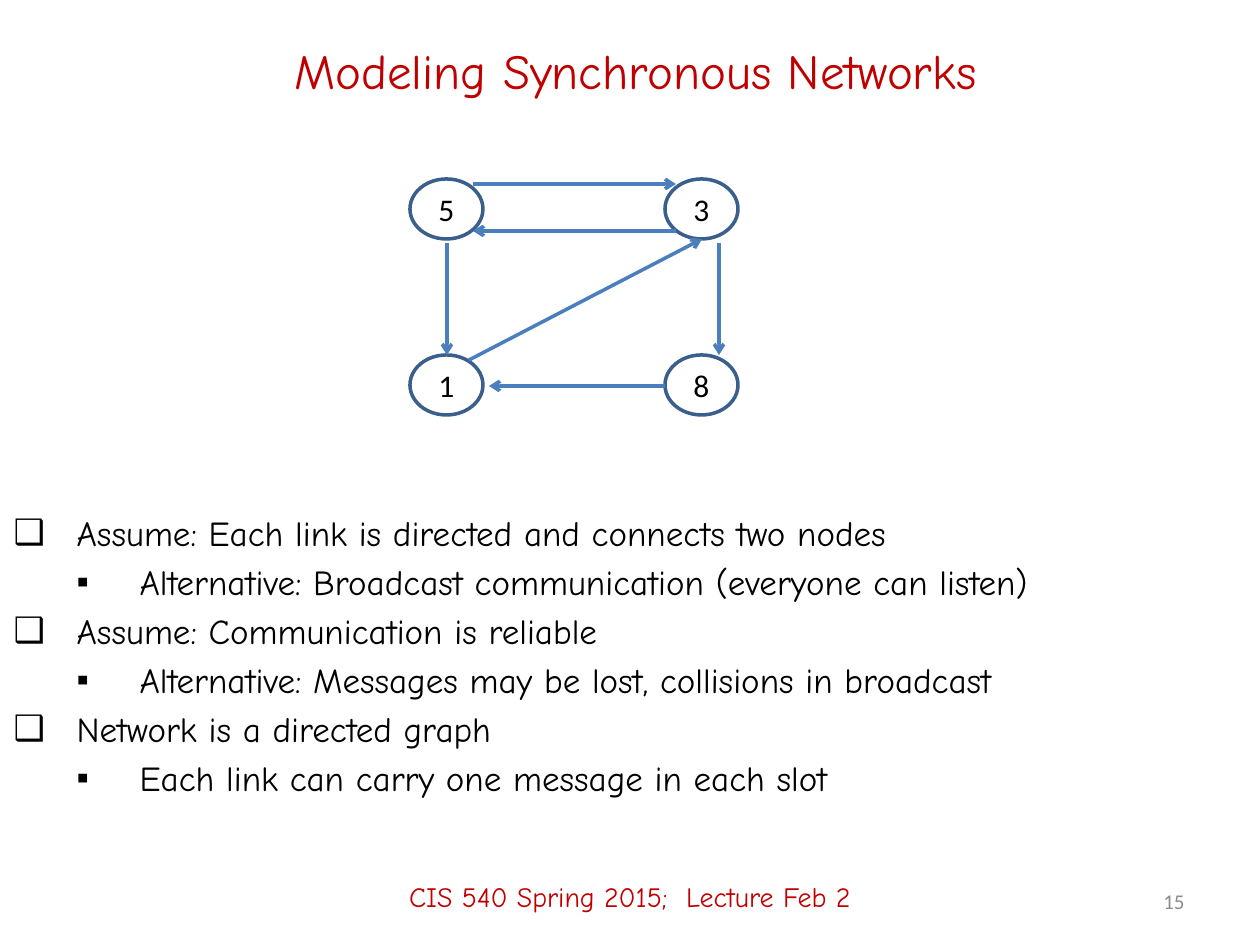
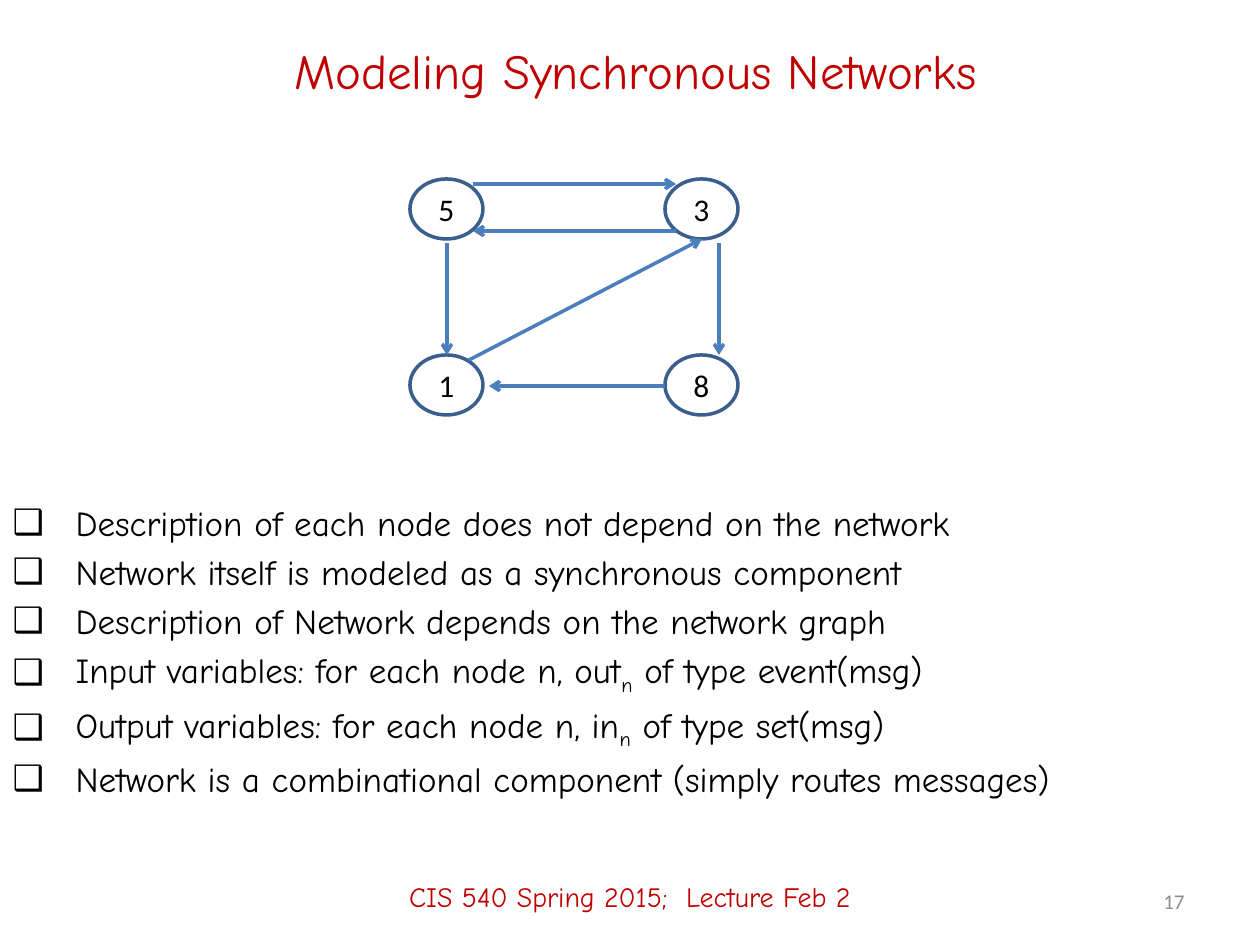
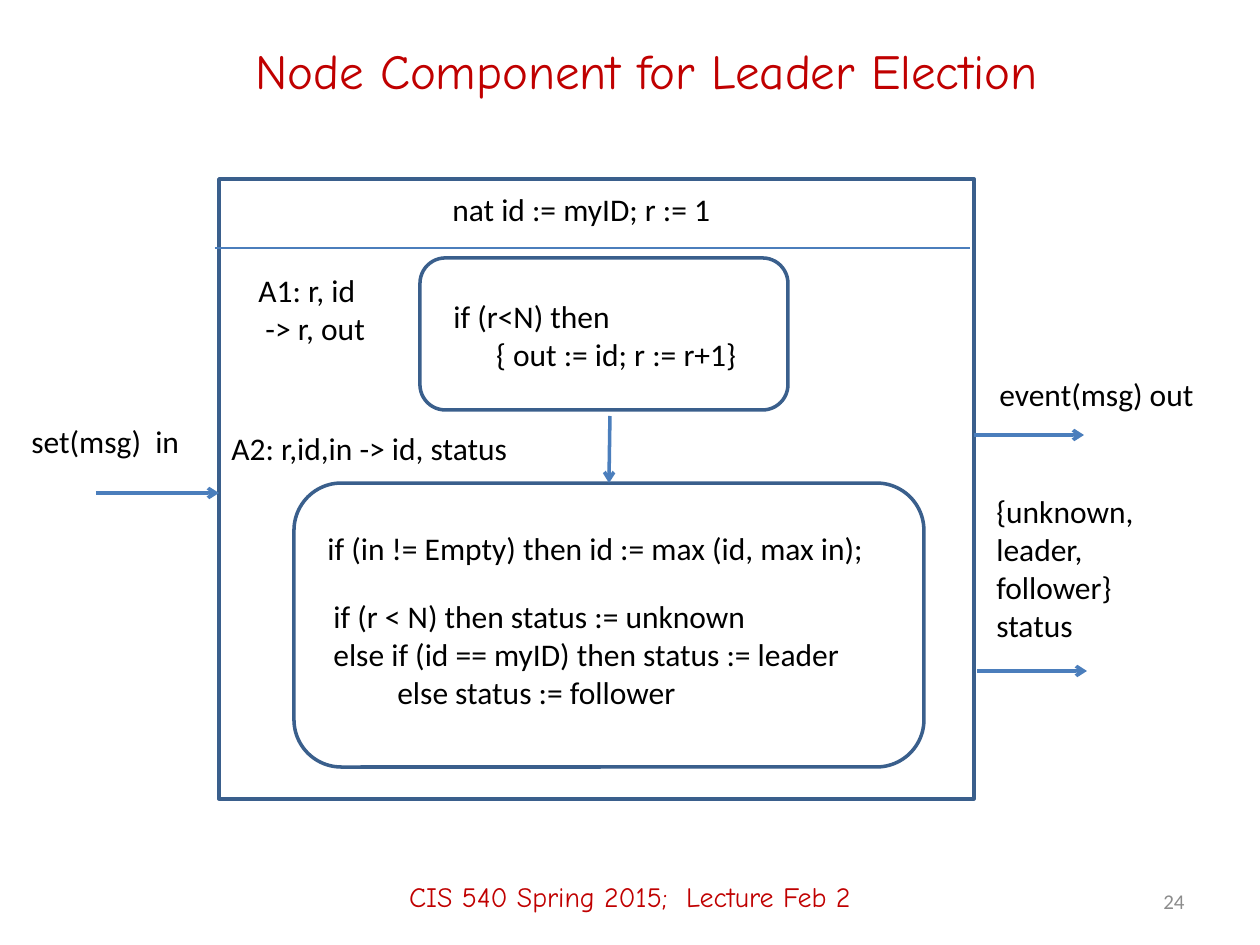
from itertools import product

from lxml.etree import SubElement
from pptx import Presentation
from pptx.dml.color import RGBColor
from pptx.enum.shapes import MSO_CONNECTOR, MSO_SHAPE
from pptx.enum.text import MSO_ANCHOR, MSO_AUTO_SIZE, PP_ALIGN
from pptx.oxml.ns import qn
from pptx.util import Emu, Pt

SCALE = 914400 / 126
TITLE_AND_BODY, TITLE_ONLY = 1, 5
RED, BLACK, GRAY, ARROW, OUTLINE = "C00000", "000000", "8C8C8C", "4B7EBC", "3A5F8C"
HAND, PLAIN = "Comic Neue", "Calibri"
TITLE_FONT = {"name": HAND, "size": Pt(28), "color": RED}
BODY_FONT = {"name": HAND, "size": Pt(20), "color": BLACK}
FOOTER_FONT = {"name": HAND, "size": Pt(16), "color": RED}
NUMBER_FONT = {"name": PLAIN, "size": Pt(12), "color": GRAY}
LABEL_FONT = {"name": PLAIN, "size": Pt(18), "color": BLACK}
FIXED = {"word_wrap": True, "auto_size": MSO_AUTO_SIZE.NONE}
MIDDLE = FIXED | {"vertical_anchor": MSO_ANCHOR.MIDDLE}
GROWING = {"word_wrap": False, "auto_size": MSO_AUTO_SIZE.SHAPE_TO_FIT_TEXT}
WRAPPED = GROWING | {"word_wrap": True}
BULLETS = "❑▪"
INDENT = 63


def px(length):
    """Turn a length in px into EMU."""
    return Emu(round(length * SCALE))


def rgb(code):
    """Turn a hex string into a colour."""
    return RGBColor.from_string(code)


def style(target, values):
    """Set the attributes of a target from a dict."""
    for name, value in values.items():
        if name == "color":
            target.color.rgb = rgb(value)
        else:
            setattr(target, name, value)


class Slides:
    """Hold the deck, its shared style and the current page."""

    def __init__(self):
        """Start an empty deck."""
        self.deck = Presentation()
        style(self.deck, {"slide_width": px(1260), "slide_height": px(945)})

    def new_page(self, layout, title, number, title_width=1081):
        """Add a page with its title, footer and number."""
        self.page = self.deck.slides.add_slide(self.deck.slide_layouts[layout])
        box = self.page.shapes.title
        self.place(box, 95, 21, title_width, 98)
        self.fill_text(box, [title], TITLE_FONT, MIDDLE, PP_ALIGN.CENTER)
        self.text(0, 847, 1260, 98, ["CIS 540 Spring 2015;  Lecture Feb 2"],
                  FOOTER_FONT, MIDDLE, PP_ALIGN.CENTER)
        self.text(903, 876, 294, 50, [str(number)], NUMBER_FONT, MIDDLE, PP_ALIGN.RIGHT)

    def place(self, box, left, top, width, height):
        """Move and size a box."""
        style(box, {"left": px(left), "top": px(top), "width": px(width), "height": px(height)})

    def fill_text(self, box, lines, font, frame_format, align=PP_ALIGN.LEFT):
        """Fill a box with one paragraph a line."""
        frame = box.text_frame
        style(frame, frame_format)
        for index, line in enumerate(lines):
            para = frame.add_paragraph() if index else frame.paragraphs[0]
            para.alignment = align
            self.span(para, line, font)

    def span(self, para, words, font):
        """Add a formatted run and return it."""
        span = para.add_run()
        span.text = words
        style(span.font, font)
        return span

    def text(self, left, top, width, height, lines, font=LABEL_FONT,
             frame_format=GROWING, align=PP_ALIGN.LEFT):
        """Add a text box."""
        box = self.page.shapes.add_textbox(px(left), px(top), px(width), px(height))
        self.fill_text(box, lines, font, frame_format, align)

    def bullets(self, left, top, items):
        """Fill the body with levels and spans, every second span a subscript."""
        body = self.page.placeholders[1]
        self.place(body, left, top, 1239, 340)
        frame = body.text_frame
        style(frame, FIXED)
        for index, (level, *spans) in enumerate(items):
            para = frame.add_paragraph() if index else frame.paragraphs[0]
            para.level = level
            properties = para._p.get_or_add_pPr()
            properties.set("marL", str(px(INDENT * (level + 1))))
            properties.set("indent", str(-px(INDENT)))
            SubElement(properties, qn("a:buChar")).set("char", BULLETS[level])
            if index == 0:
                para.space_before = Pt(0)
            for position, words in enumerate(spans):
                span = self.span(para, words, BODY_FONT)
                if position % 2:
                    span._r.get_or_add_rPr().set("baseline", "-25000")

    def outline(self, kind, left, top, width, height):
        """Add an unfilled outlined shape."""
        shape = self.page.shapes.add_shape(kind, px(left), px(top), px(width), px(height))
        shape.shadow.inherit = False
        shape.fill.background()
        style(shape.line, {"color": OUTLINE, "width": Pt(2)})
        return shape

    def line(self, start, end, width=2, arrow=True):
        """Add a straight line, by default with an arrowhead at its end."""
        ends = [px(value) for value in (*start, *end)]
        line = self.page.shapes.add_connector(MSO_CONNECTOR.STRAIGHT, *ends)
        style(line.line, {"color": ARROW, "width": Pt(width)})
        properties = line._element.spPr
        if arrow:
            SubElement(properties.find(qn("a:ln")), qn("a:tailEnd")).set("type", "arrow")
        SubElement(properties, qn("a:effectLst"))
        return line

    def network(self):
        """Draw the directed graph of four nodes."""
        for name, (top, left) in zip("5318", product((179, 355), (410, 665))):
            node = self.outline(MSO_SHAPE.OVAL, left, top, 73, 60)
            self.fill_text(node, [name], LABEL_FONT, MIDDLE | {"word_wrap": False},
                           PP_ALIGN.CENTER)
        for start, end in (((665, 386), (489, 386)), ((447, 243), (447, 355)),
                           ((676, 231), (473, 231)), ((473, 184), (676, 184)),
                           ((719, 243), (719, 355)), ((469, 360), (702, 239))):
            self.line(start, end)


def main():
    """Build and save the deck."""
    slides = Slides()

    slides.new_page(TITLE_AND_BODY, "Modeling Synchronous Networks", 15)
    slides.bullets(1, 505, [
        (0, "Assume: Each link is directed and connects two nodes"),
        (1, "Alternative: Broadcast communication (everyone can listen)"),
        (0, "Assume: Communication is reliable"),
        (1, "Alternative: Messages may be lost, collisions in broadcast"),
        (0, "Network is a directed graph"),
        (1, "Each link can carry one message in each slot"),
    ])
    slides.network()

    slides.new_page(TITLE_AND_BODY, "Modeling Synchronous Networks", 17)
    slides.bullets(0, 495, [
        (0, "Description of each node does not depend on the network"),
        (0, "Network itself is modeled as a synchronous component"),
        (0, "Description of Network depends on the network graph"),
        (0, "Input variables: for each node n, out", "n", " of type event(msg)"),
        (0, "Output variables: for each node n, in", "n", " of type set(msg)"),
        (0, "Network is a combinational component (simply routes messages)"),
    ])
    slides.network()

    slides.new_page(TITLE_ONLY, "Node Component for Leader Election", 24, 1103)
    slides.outline(MSO_SHAPE.RECTANGLE, 219, 179, 755, 620)
    slides.outline(MSO_SHAPE.ROUNDED_RECTANGLE, 420, 258, 368, 152)
    update_task = slides.outline(MSO_SHAPE.ROUNDED_RECTANGLE, 294, 483, 630, 284)
    slides.line((215, 248), (970, 248), 0.75, False)
    slides.line((610, 416), (609, 483)).end_connect(update_task, 0)
    for start, end in (((96, 493), (219, 493)), ((974, 435), (1084, 435)),
                       ((977, 671), (1087, 671))):
        slides.line(start, end)
    slides.text(440, 184, 287, 50, ["nat id := myID; r := 1"])
    slides.text(246, 265, 134, 89, ["A1: r, id", " -> r, out"])
    slides.text(441, 291, 320, 89, ["if (r<N) then", "      { out := id; r := r+1}"])
    slides.text(219, 423, 305, 50, ["A2: r,id,in -> id, status"])
    slides.text(19, 416, 185, 50, ["set(msg)  in"], frame_format=WRAPPED)
    slides.text(987, 369, 222, 50, ["event(msg) out"])
    slides.text(984, 486, 164, 165, ["{unknown,", "leader,", "follower}", "status"])
    slides.text(315, 523, 576, 50, ["if (in != Empty) then id := max (id, max in);"])
    slides.text(321, 591, 538, 127, [
        "if (r < N) then status := unknown",
        "else if (id == myID) then status := leader",
        "         else status := follower",
    ])

    slides.deck.save("out.pptx")


if __name__ == "__main__":
    main()
